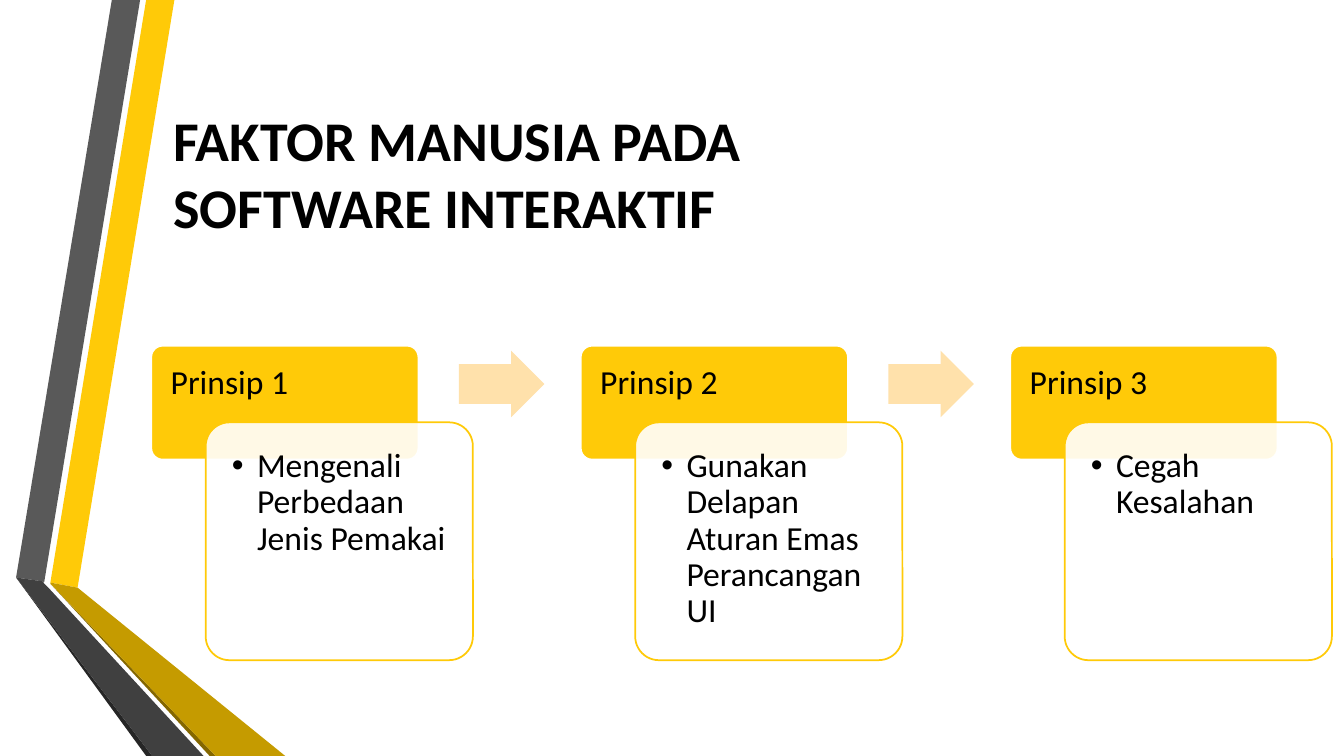
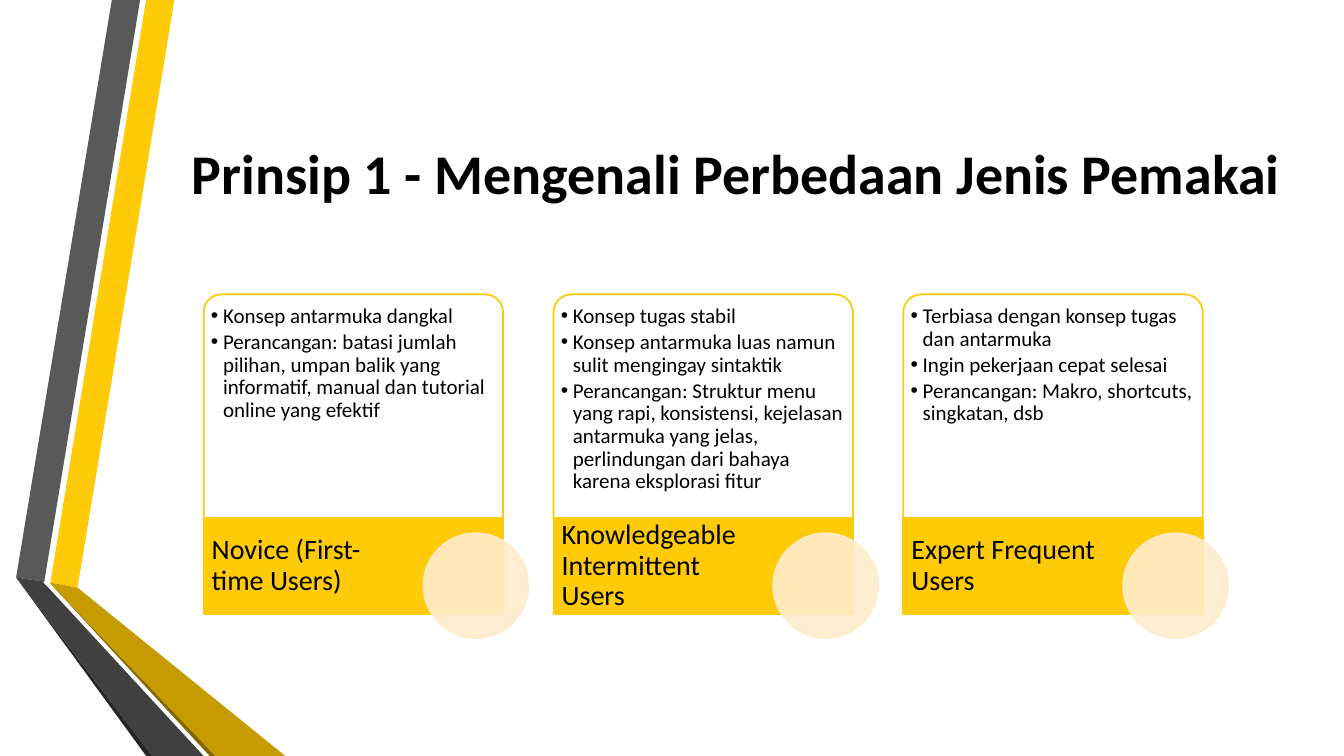
from lxml.etree import SubElement
from pptx import Presentation
from pptx.dml.color import RGBColor
from pptx.enum.shapes import MSO_SHAPE
from pptx.enum.text import MSO_ANCHOR, PP_ALIGN
from pptx.oxml.ns import qn
from pptx.util import Inches, Pt

COLORS = {
    "yellow": "FFCA08", "gold": "C59B00", "bronze": "846700",
    "gray": "595959", "charcoal": "404040", "soot": "262626",
    "peach": "FFE1AB", "cream": "FFECCC", "white": "FFFFFF", "black": "000000",
}
FONT = "Calibri"

RIBBONS = [
    ("yellow", [(0.5, 5.78), (0.77, 5.83), (1.73, 0), (1.45, 0)]),
    ("gray", [(1.39, 0), (1.11, 0), (0.16, 5.73), (0.44, 5.77)]),
    ("soot", [(0.16, 5.73), (1.45, 7.5), (1.51, 7.5)]),
    ("bronze", [(0.5, 5.79), (2.08, 7.5), (2.14, 7.5)]),
    ("gold", [(0.5, 5.79), (2.14, 7.5), (2.83, 7.5), (0.77, 5.83), (0.5, 5.78)]),
    ("charcoal", [(2.02, 7.5), (0.48, 5.83), (0.43, 5.78), (0.44, 5.77),
                  (0.16, 5.73), (1.51, 7.5)]),
]

PRINCIPLES_TITLE = "FAKTOR MANUSIA PADA \vSOFTWARE INTERAKTIF"
PRINCIPLES = [
    ("Prinsip 1", "Mengenali Perbedaan Jenis Pemakai"),
    ("Prinsip 2", "Gunakan Delapan Aturan Emas Perancangan UI"),
    ("Prinsip 3", "Cegah Kesalahan"),
]

USERS_TITLE = "Prinsip 1 - Mengenali Perbedaan Jenis Pemakai"
USERS = [
    ("Novice (First-time Users)", [
        "Konsep antarmuka dangkal",
        "Perancangan: batasi jumlah pilihan, umpan balik yang informatif, "
        "manual dan tutorial online yang efektif",
    ]),
    ("Knowledgeable Intermittent Users", [
        "Konsep tugas stabil",
        "Konsep antarmuka luas namun sulit mengingay sintaktik",
        "Perancangan: Struktur menu yang rapi, konsistensi, kejelasan antarmuka "
        "yang jelas, perlindungan dari bahaya karena eksplorasi fitur",
    ]),
    ("Expert Frequent Users", [
        "Terbiasa dengan konsep tugas dan antarmuka",
        "Ingin pekerjaan cepat selesai",
        "Perancangan: Makro, shortcuts, singkatan, dsb",
    ]),
]


def write(shape, lines, size, bold=False, align=PP_ALIGN.LEFT, anchor=MSO_ANCHOR.TOP,
          insets=(0.1, 0.05, 0.1, 0.05), spacing=0.9, bullet_indent=None):
    frame = shape.text_frame
    frame.word_wrap = True
    frame.vertical_anchor = anchor
    (frame.margin_left, frame.margin_top,
     frame.margin_right, frame.margin_bottom) = map(Inches, insets)
    frame.text = "\n".join(lines)
    for paragraph in frame.paragraphs:
        paragraph.alignment = align
        paragraph.line_spacing = spacing
        for run in paragraph.runs:
            run.font.name = FONT
            run.font.size = Pt(size)
            run.font.bold = bold
            run.font.color.rgb = RGBColor.from_string(COLORS["black"])
        if bullet_indent:
            paragraph.space_after = Pt(size * 0.15)
            properties = paragraph._p.get_or_add_pPr()
            properties.set("marL", str(Inches(bullet_indent)))
            properties.set("indent", str(-Inches(bullet_indent)))
            SubElement(properties, qn("a:buFont")).set("typeface", "Arial")
            SubElement(properties, qn("a:buChar")).set("char", "•")


def paint(shape, fill, line=None, opacity=None, line_opacity=None):
    shape.shadow.inherit = False
    shape.fill.solid()
    shape.fill.fore_color.rgb = RGBColor.from_string(COLORS[fill])
    if line:
        shape.line.color.rgb = RGBColor.from_string(COLORS[line])
        shape.line.width = Pt(1.25)
    else:
        shape.line.fill.background()
    properties = shape.element.spPr
    for parent, percent in ((properties, opacity),
                            (properties.find(qn("a:ln")), line_opacity)):
        if percent:
            color = parent.find(qn("a:solidFill")).find(qn("a:srgbClr"))
            SubElement(color, qn("a:alpha")).set("val", str(percent * 1000))


def add_block(slide, preset, box, fill, adjustments=(), **look):
    block = slide.shapes.add_shape(preset, *map(Inches, box))
    for index, value in enumerate(adjustments):
        block.adjustments[index] = value
    paint(block, fill, **look)
    return block


def add_titled_slide(deck, layout, title, width=10.96, align=PP_ALIGN.LEFT):
    slide = deck.slides.add_slide(layout)
    heading = slide.shapes.title
    heading.left, heading.top, heading.width, heading.height = map(
        Inches, (1.62, 0.75, width, 1.92))
    write(heading, [title], 40, bold=True, align=align,
          anchor=MSO_ANCHOR.MIDDLE, spacing=1.0)
    return slide


def add_ribbons(layout, slide):
    for position, (color, points) in enumerate(RIBBONS, start=2):
        corners = [(Inches(x), Inches(y)) for x, y in points]
        builder = slide.shapes.build_freeform(*corners[0])
        builder.add_line_segments(corners[1:], close=True)
        ribbon = builder.convert_to_shape()
        paint(ribbon, color)
        layout.shapes.element.insert(position, ribbon.element)


def add_principles(slide):
    for index, (label, principle) in enumerate(PRINCIPLES):
        left = 1.5 + index * 4.26
        header = add_block(slide, MSO_SHAPE.ROUNDED_RECTANGLE, (left, 3.43, 2.65, 1.13),
                           "yellow", [0.1], line="white")
        write(header, [label], 24, insets=(0.16, 0.16, 0.16, 0.1))
        panel = add_block(slide, MSO_SHAPE.ROUNDED_RECTANGLE,
                          (left + 0.54, 4.19, 2.65, 2.36),
                          "white", [0.1], line="yellow", opacity=90)
        write(panel, [principle], 24, insets=(0.19,) * 4, bullet_indent=0.25)
        if index < len(PRINCIPLES) - 1:
            add_block(slide, MSO_SHAPE.RIGHT_ARROW, (left + 3.05, 3.48, 0.85, 0.66),
                      "peach", [0.6, 0.5])


def add_users(slide):
    for index, (user, traits) in enumerate(USERS):
        left = 2.02 + index * 3.47
        panel = add_block(slide, MSO_SHAPE.ROUND_2_SAME_RECTANGLE,
                          (left, 2.92, 2.97, 2.22),
                          "white", [0.08, 0], line="yellow", opacity=90)
        write(panel, traits, 15, insets=(0.02, 0.06, 0.02, 0.02), bullet_indent=0.12)
        band = add_block(slide, MSO_SHAPE.RECTANGLE, (left, 5.14, 2.97, 0.95),
                         "yellow", line="yellow")
        write(band, [user], 20, anchor=MSO_ANCHOR.MIDDLE, insets=(0.08, 0, 0.91, 0))
        add_block(slide, MSO_SHAPE.OVAL, (left + 2.18, 5.29, 1.04, 1.04), "cream",
                  line="cream", opacity=90, line_opacity=90)


def main():
    deck = Presentation()
    deck.slide_width, deck.slide_height = Inches(13.33), Inches(7.5)
    layout = deck.slide_layouts.get_by_name("Title Only")
    principles = add_titled_slide(deck, layout, PRINCIPLES_TITLE)
    add_ribbons(layout, principles)
    add_principles(principles)
    users = add_titled_slide(deck, layout, USERS_TITLE, width=11.36,
                             align=PP_ALIGN.CENTER)
    add_users(users)
    deck.save("out.pptx")


if __name__ == "__main__":
    main()
